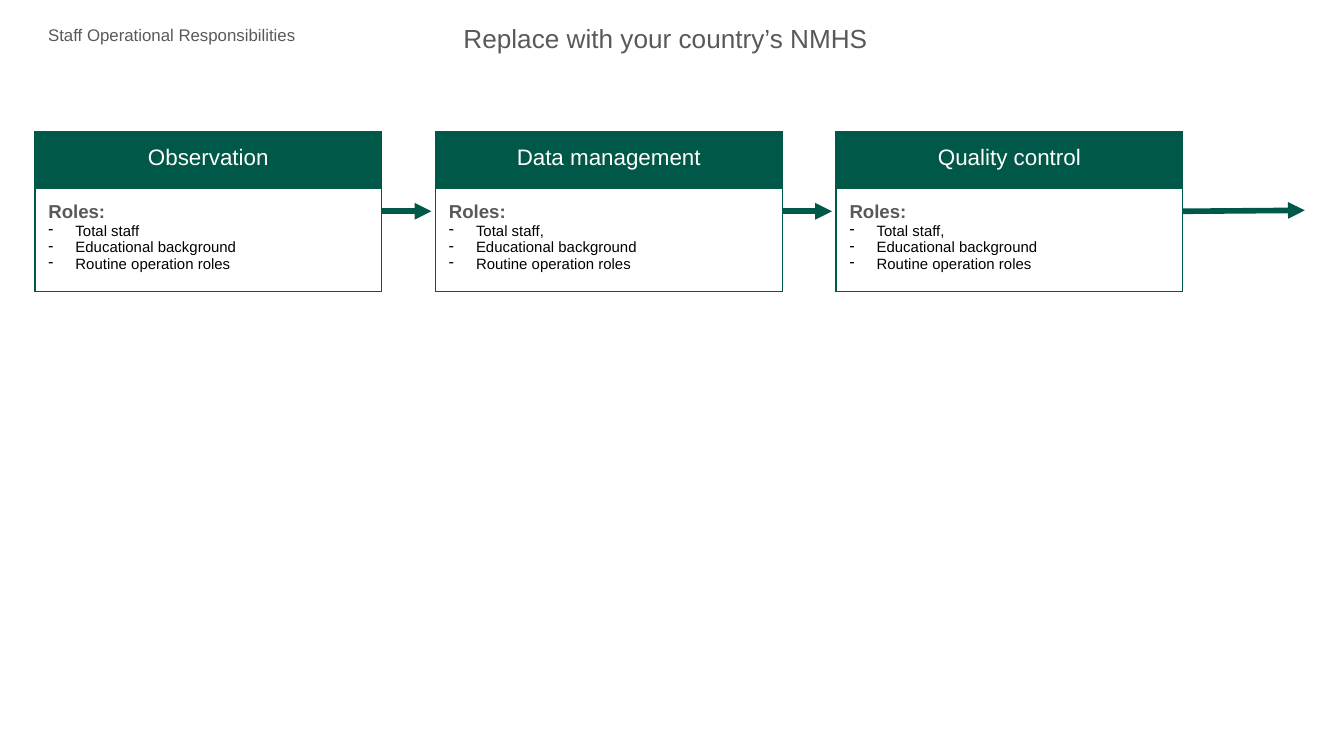
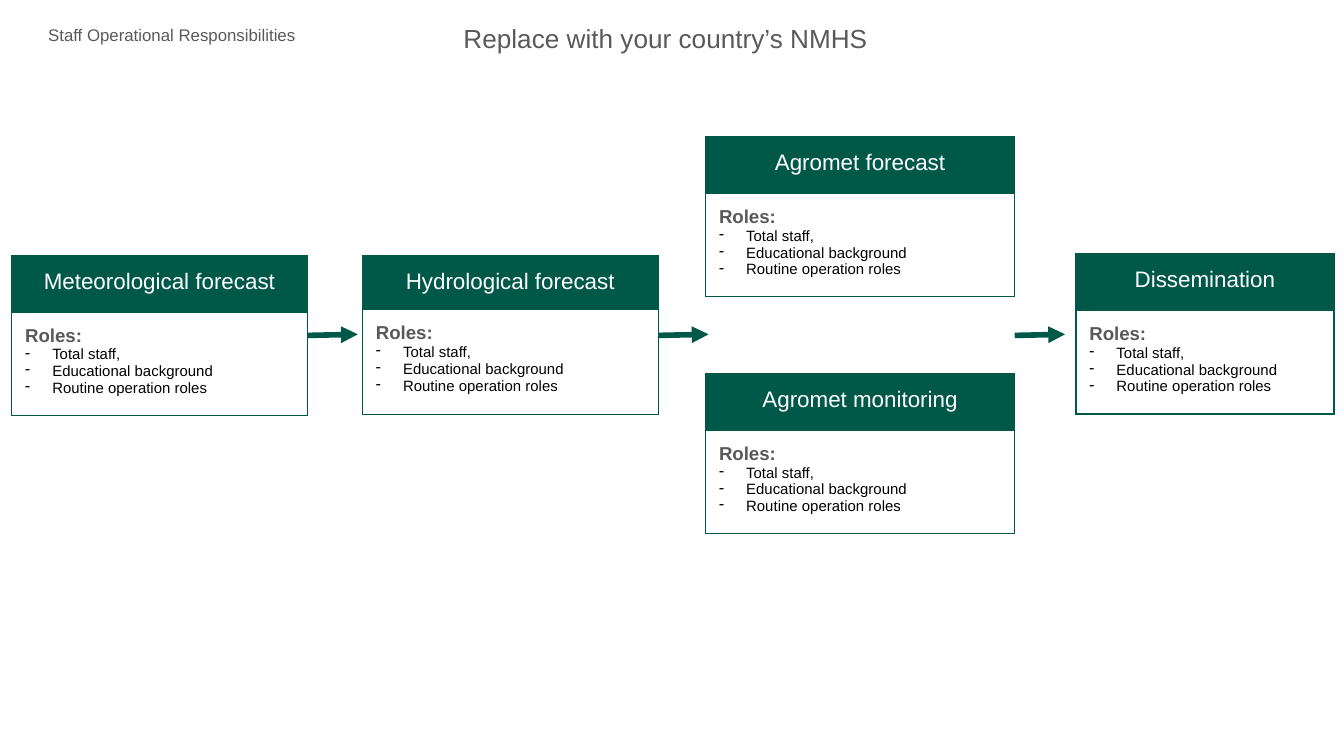
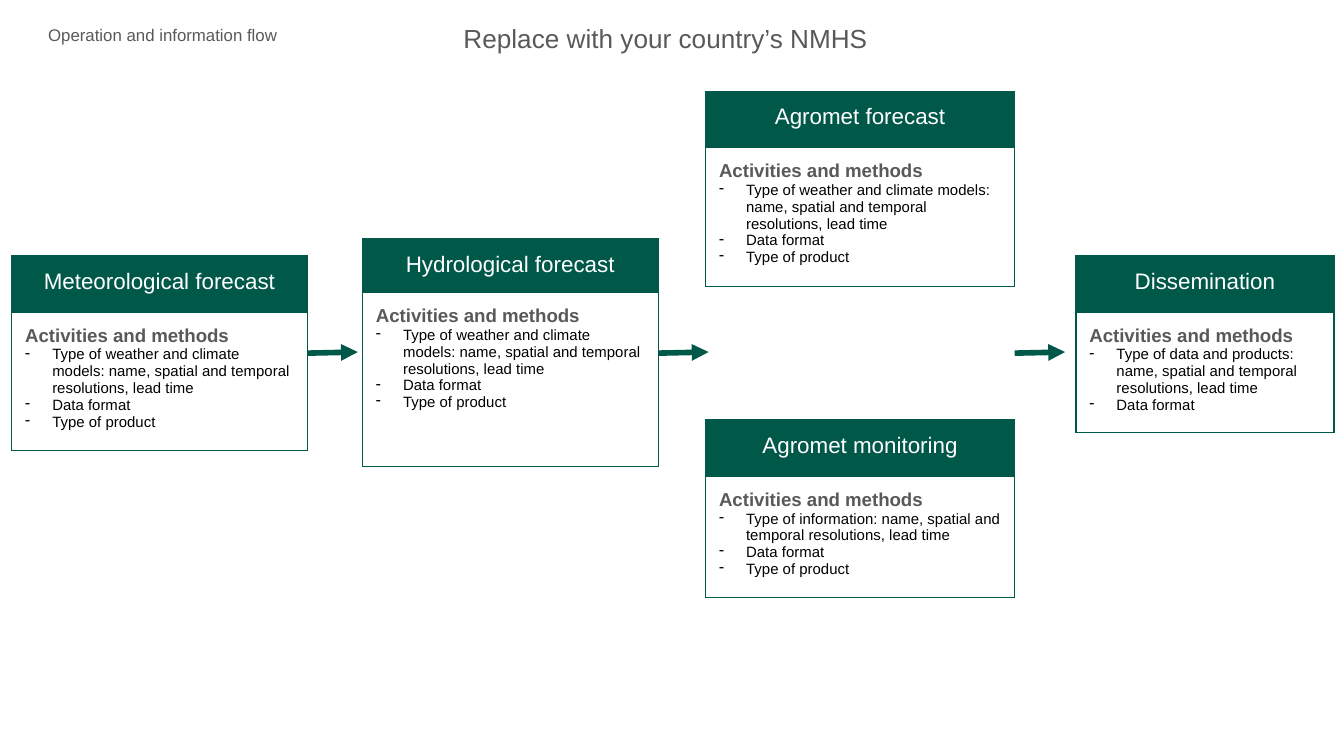
import pptx
import pptx.dml.color
import pptx.enum.shapes
import pptx.enum.text
import pptx.oxml.ns
import pptx.util
from lxml import etree

Pt = pptx.util.Pt
qn = pptx.oxml.ns.qn

# Shared style
FONT = "Arial"
GREEN, GREY, BLACK, WHITE = "005849", "595959", "000000", "FFFFFF"
INSET = 7.2
HEADER_HEIGHT = 30.2
ROLES_HEIGHT = 55.5

# Shared wording
TITLE = "Replace with your country’s NMHS"
STAFF = "Staff Operational Responsibilities"
FLOW = "Operation and information flow"
ROLES = ["Total staff,", "Educational background", "Routine operation roles"]
OUTPUTS = ["Data format", "Type of product"]
DETAILS = "name, spatial and temporal resolutions, lead time"
MODELS = ["Type of weather and climate models: " + DETAILS] + OUTPUTS
MONITORING = ["Type of information: " + DETAILS] + OUTPUTS
PRODUCTS = ["Type of data and products: " + DETAILS, OUTPUTS[0]]

# Columns of the forecast chain: left edge and width
FORECAST_COLUMNS = {
    "Meteorological forecast": (6.3, 158.4),
    "Hydrological forecast": (194.2, 158.4),
    "Agromet forecast": (378, 165.6),
    "Agromet monitoring": (378, 165.6),
    "Dissemination": (576.4, 138.3),
}


def color(value):
    return pptx.dml.color.RGBColor.from_string(value)


def add_span(para, text, size, value, bold=False):
    span = para.add_run()
    span.text = text
    span.font.name = FONT
    span.font.size = Pt(size)
    span.font.bold = bold
    span.font.color.rgb = color(value)


def set_insets(target):
    target.margin_left = target.margin_right = Pt(INSET)
    target.margin_top = target.margin_bottom = Pt(INSET)


def add_label(slide, text, left, top, width, height, size):
    box = slide.shapes.add_textbox(Pt(left), Pt(top), Pt(width), Pt(height))
    frame = box.text_frame
    frame.word_wrap = True
    frame.auto_size = pptx.enum.text.MSO_AUTO_SIZE.SHAPE_TO_FIT_TEXT
    set_insets(frame)
    add_span(frame.paragraphs[0], text, size, GREY)


def set_dash_bullet(para):
    props = para._p.get_or_add_pPr()
    props.set("marL", str(Pt(14.5)))
    props.set("indent", str(Pt(-15)))
    bullet_color = etree.SubElement(props, qn("a:buClr"))
    etree.SubElement(bullet_color, qn("a:srgbClr"), val=BLACK)
    etree.SubElement(props, qn("a:buChar"), char="-")


def set_borders(cell):
    props = cell._tc.get_or_add_tcPr()
    for side in ("lnL", "lnR", "lnT", "lnB"):
        line = etree.SubElement(props, qn("a:" + side), w=str(Pt(0.75)))
        fill = etree.SubElement(line, qn("a:solidFill"))
        etree.SubElement(fill, qn("a:srgbClr"), val=GREEN)


def add_card(slide, name, heading, items, left, top, width,
             body_height, header_height=HEADER_HEIGHT):
    """A two-row table: green header above a heading with dashed items."""
    frame = slide.shapes.add_table(2, 1, Pt(left), Pt(top), Pt(width),
                                   Pt(header_height + body_height))
    table = frame.table
    table.first_row = table.horz_banding = False
    table.rows[0].height = Pt(header_height)
    table.rows[1].height = Pt(body_height)
    header, body = table.cell(0, 0), table.cell(1, 0)
    for cell in (header, body):
        set_insets(cell)
        set_borders(cell)

    header.fill.solid()
    header.fill.fore_color.rgb = color(GREEN)
    para = header.text_frame.paragraphs[0]
    para.alignment = pptx.enum.text.PP_ALIGN.CENTER
    add_span(para, name, 12, WHITE)

    body.fill.background()
    add_span(body.text_frame.paragraphs[0], heading, 10, GREY, bold=True)
    for item in items:
        para = body.text_frame.add_paragraph()
        set_dash_bullet(para)
        add_span(para, item, 8, BLACK)


def add_arrow(slide, left, top, length, rise=0):
    arrow = slide.shapes.add_connector(
        pptx.enum.shapes.MSO_CONNECTOR.STRAIGHT,
        Pt(left), Pt(top), Pt(left + length), Pt(top - rise))
    arrow.line.color.rgb = color(GREEN)
    arrow.line.width = Pt(3)
    etree.SubElement(arrow.line._get_or_add_ln(), qn("a:tailEnd"), type="triangle")
    etree.SubElement(arrow._element.spPr, qn("a:effectLst"))


def add_page(deck, topic, topic_width):
    slide = deck.slides.add_slide(deck.slide_layouts[6])
    add_label(slide, TITLE, 241.2, 5, 237.6, 31.7, 14)
    add_label(slide, topic, 18.7, 7.9, topic_width, 25.2, 9)
    return slide


def build_data_roles(deck):
    slide = add_page(deck, STAFF, 161.3)
    steps = [
        ("Observation", ["Total staff"] + ROLES[1:], 26.6, 0),
        ("Data management", ROLES, 26.6, 0),
        ("Quality control", ROLES, 65.3, 0.5),
    ]
    width = 185.8
    for index, (name, items, arrow_length, rise) in enumerate(steps):
        left = 18.7 + 214.6 * index
        add_card(slide, name, "Roles:", items, left, 70.6, width, ROLES_HEIGHT)
        add_arrow(slide, left + width, 113.2, arrow_length, rise)


def build_forecast_page(deck, topic, topic_width, heading, cards, arrow_top):
    slide = add_page(deck, topic, topic_width)
    for name, items, top, *heights in cards:
        left, width = FORECAST_COLUMNS[name]
        add_card(slide, name, heading, items, left, top, width, *heights)
    for name in ("Meteorological forecast", "Hydrological forecast",
                 "Agromet forecast"):
        left, width = FORECAST_COLUMNS[name]
        add_arrow(slide, left + width, arrow_top, 27, 0.6)


def main():
    deck = pptx.Presentation()
    deck.slide_width, deck.slide_height = Pt(720), Pt(405)

    build_data_roles(deck)

    # Staff roles in the forecast chain
    build_forecast_page(deck, STAFF, 147.6, "Roles:", [
        ("Meteorological forecast", ROLES, 136.9, ROLES_HEIGHT),
        ("Hydrological forecast", ROLES, 136.9, 56.2, 29),
        ("Agromet forecast", ROLES, 73.4, ROLES_HEIGHT),
        ("Agromet monitoring", ROLES, 200.2, ROLES_HEIGHT),
        ("Dissemination", ROLES, 136.1, ROLES_HEIGHT),
    ], 179.7)

    # Activities in the forecast chain
    build_forecast_page(deck, FLOW, 138.2, "Activities and methods", [
        ("Meteorological forecast", MODELS, 136.9, 74.2),
        ("Hydrological forecast", MODELS, 127.9, 93.2, 28.8),
        ("Agromet forecast", MODELS, 48.8, 74.2),
        ("Agromet monitoring", MONITORING, 224.9, 64.8),
        ("Dissemination", PRODUCTS, 136.9, 64.8),
    ], 189.2)

    deck.save("out.pptx")


if __name__ == "__main__":
    main()
